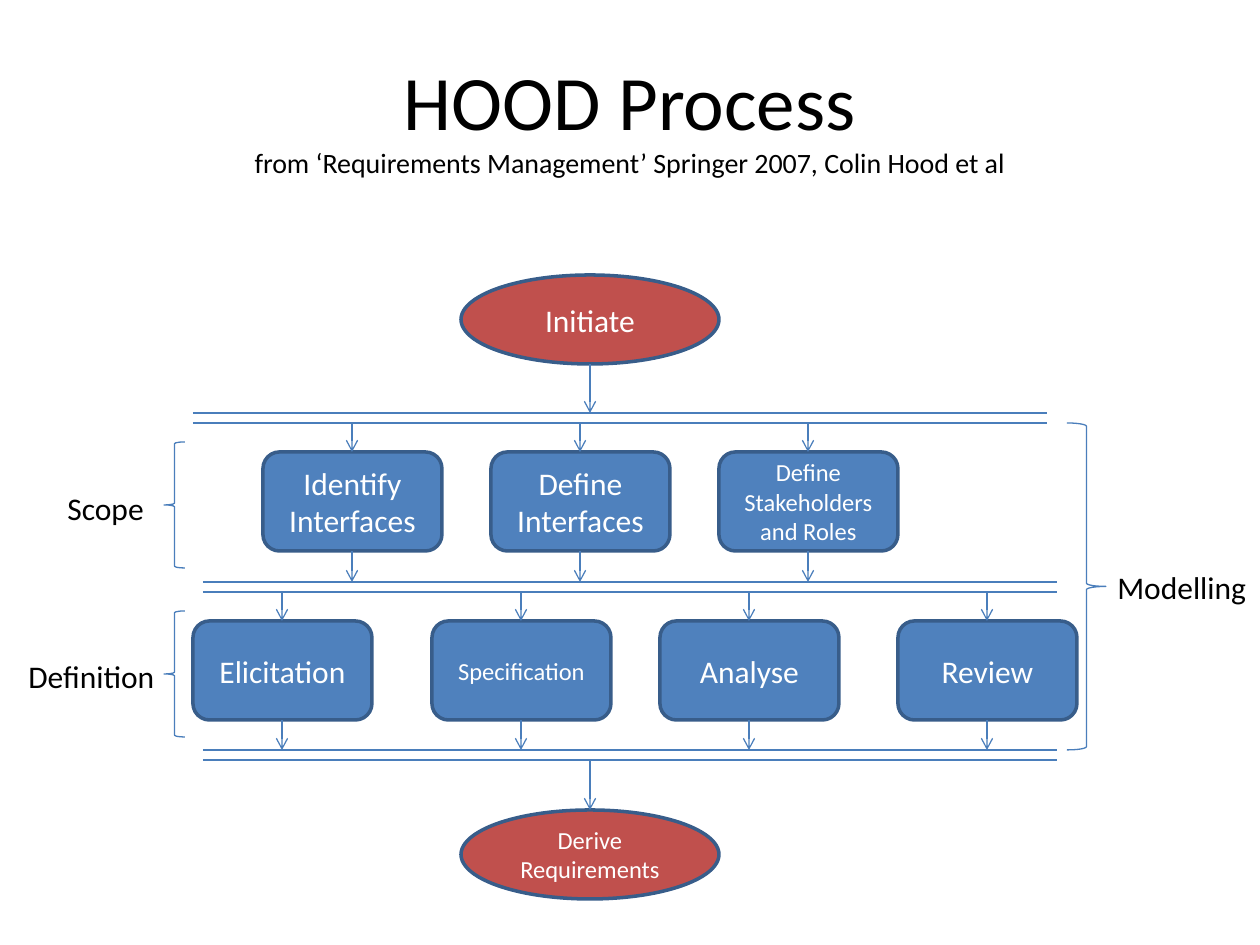
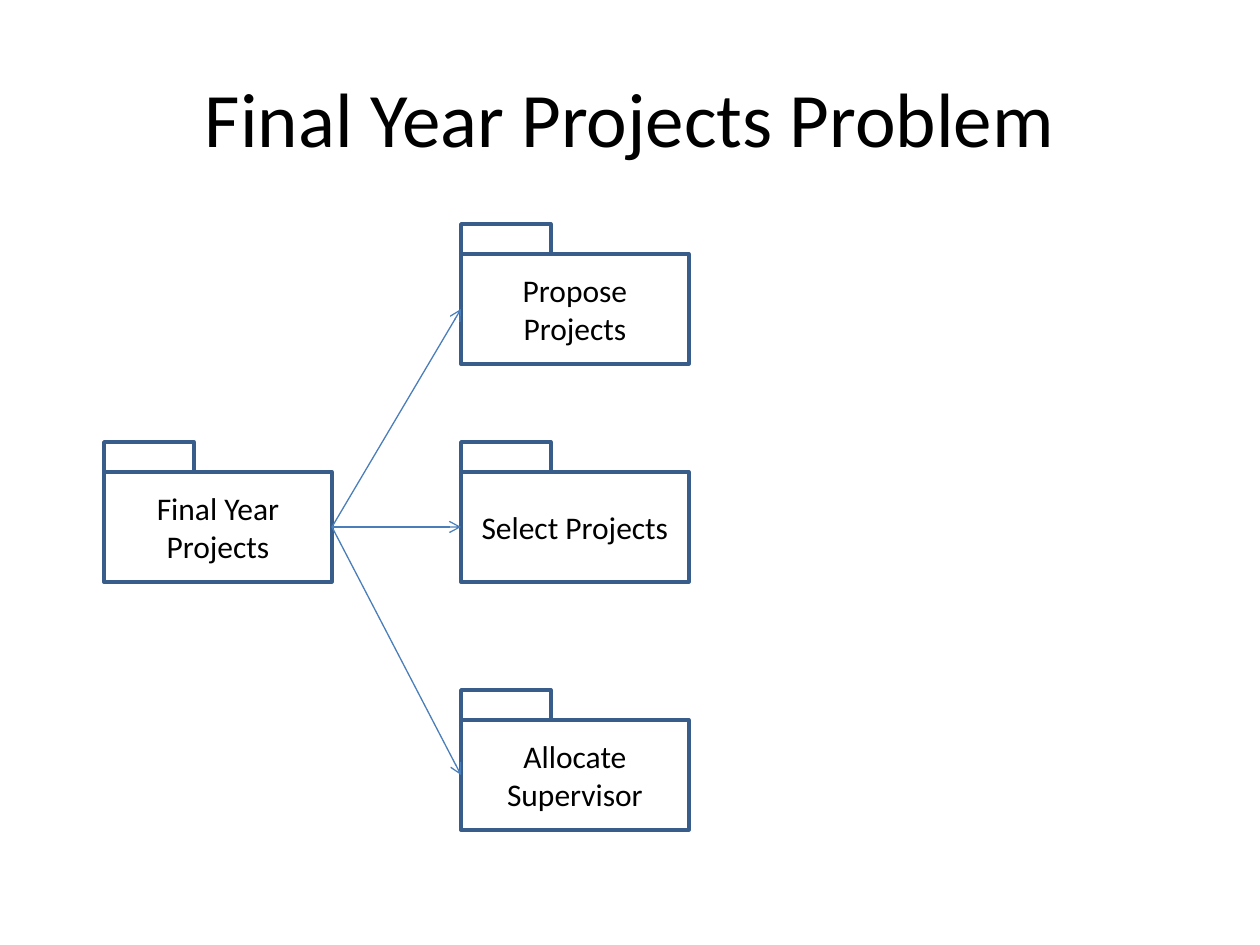
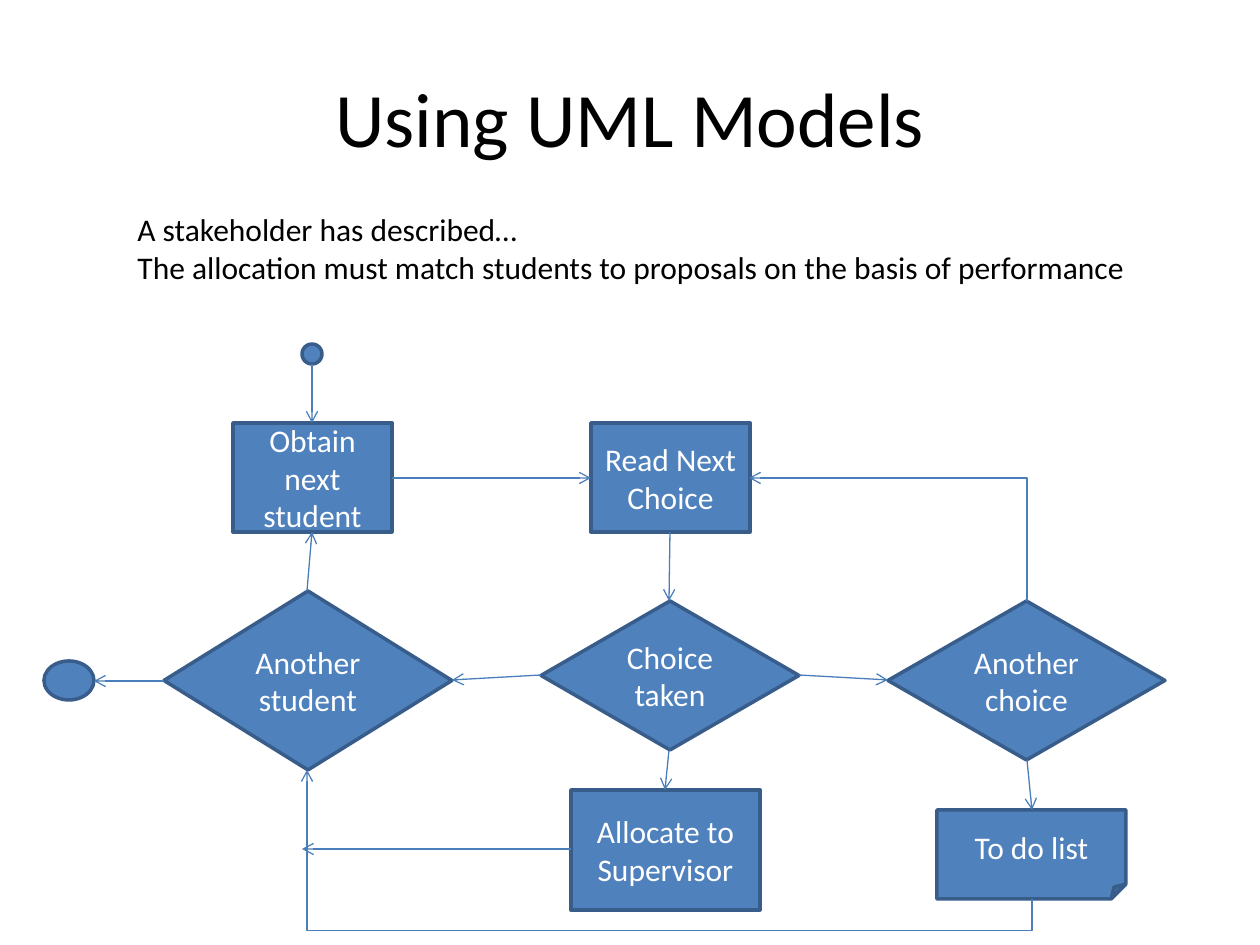
from typing import NamedTuple

from pptx import Presentation
from pptx import util as u
from pptx.dml.color import RGBColor
from pptx.enum import shapes, text
from pptx.oxml import parse_xml
from pptx.oxml.ns import nsdecls, qn

PX = u.Inches(1) / 126
FONT = "Calibri"
BLACK, WHITE = "000000", "FFFFFF"
BLUE, RED, EDGE, WIRE = "4F81BD", "C0504D", "385D8A", "4A7EBB"

Kind = shapes.MSO_SHAPE
Link = shapes.MSO_CONNECTOR
Point = tuple[int, int]


class Box(NamedTuple):
    x: int
    y: int
    w: int
    h: int

    @property
    def mid(self) -> int:
        return self.x + self.w // 2

    @property
    def low(self) -> int:
        return self.y + self.h


class Node(NamedTuple):
    kind: Kind
    box: Box
    words: str = ""
    size: int = 18
    fill: str | None = BLUE
    ink: str = WHITE


class Row(NamedTuple):
    y: int
    cells: list[tuple[int, str, int]]


def emu(*vals: float) -> list[int]:
    return [round(v * PX) for v in vals]


def tint(code: str) -> RGBColor:
    return RGBColor.from_string(code)


def write(frame, words: str, *, size: int = 18, ink: str = BLACK,
          center: bool = True, middle: bool = True, wrap: bool = True) -> None:
    """Fill a text frame, one paragraph per line of words."""
    frame.word_wrap = wrap
    frame.vertical_anchor = (
        text.MSO_ANCHOR.MIDDLE if middle else text.MSO_ANCHOR.TOP)
    frame.text = words
    for para in frame.paragraphs:
        para.alignment = text.PP_ALIGN.CENTER if center else text.PP_ALIGN.LEFT
        for run in para.runs:
            style(run, size, ink)


def style(run, size: int, ink: str = BLACK) -> None:
    run.font.name = FONT
    run.font.size = u.Pt(size)
    run.font.color.rgb = tint(ink)


def title(slide, words: str, note: str = "") -> None:
    frame = slide.shapes.add_textbox(*emu(63, 38, 1134, 157)).text_frame
    write(frame, words, size=44)
    if note:
        para = frame.paragraphs[0]
        para.add_line_break()
        run = para.add_run()
        run.text = note
        style(run, 16)


def label(slide, box: Box, words: str) -> None:
    frame = slide.shapes.add_textbox(*emu(*box)).text_frame
    write(frame, words, center=False, middle=False, wrap=False)


def shape(slide, kind: Kind, box: Box, fill: str | None, edge: str, width: float):
    item = slide.shapes.add_shape(kind, *emu(*box))
    item.shadow.inherit = False
    if fill:
        item.fill.solid()
        item.fill.fore_color.rgb = tint(fill)
    else:
        item.fill.background()
    item.line.color.rgb = tint(edge)
    item.line.width = u.Pt(width)
    return item


def draw(slide, node: Node) -> None:
    item = shape(slide, node.kind, node.box, node.fill, EDGE, 2)
    if node.words:
        write(item.text_frame, node.words, size=node.size, ink=node.ink)


def wire(slide, start: Point, end: Point, head: bool = True,
         kind: Link = Link.STRAIGHT):
    item = slide.shapes.add_connector(kind, *emu(*start, *end))
    item.line.color.rgb = tint(WIRE)
    item.line.width = u.Pt(0.75)
    if head:
        item.line._get_or_add_ln().append(
            parse_xml(f'<a:tailEnd {nsdecls("a")} type="arrow"/>'))
    item._element.spPr.append(parse_xml(f'<a:effectLst {nsdecls("a")}/>'))
    return item


def elbow(slide, start: Point, end: Point, preset: str,
          bend: int | None = None) -> None:
    """Draw a bent arrow that ends up and to the left of its start."""
    (x1, y1), (x2, y2) = start, end
    cx, cy = (x1 + x2) / 2, (y1 + y2) / 2
    dx, dy = (y1 - y2) / 2, (x1 - x2) / 2
    item = wire(slide, (cx - dx, cy - dy), (cx + dx, cy + dy), kind=Link.ELBOW)
    props = item._element.spPr
    frame = props.find(qn("a:xfrm"))
    frame.set("rot", "16200000")
    frame.set("flipV", "1")
    geom = props.find(qn("a:prstGeom"))
    geom.set("prst", preset)
    if bend is not None:
        geom.find(qn("a:avLst")).append(parse_xml(
            f'<a:gd {nsdecls("a")} name="adj1" fmla="val {bend}"/>'))


def process(slide) -> None:
    title(slide, "HOOD Process",
          "from ‘Requirements Management’ Springer 2007, Colin Hood et al")
    rows = [
        Row(452, [(263, "Identify Interfaces", 18), (491, "Define Interfaces", 18),
                  (719, "Define Stakeholders and Roles", 14)]),
        Row(621, [(193, "Elicitation", 18), (432, "Specification", 14),
                  (660, "Analyse", 18), (898, "Review", 18)]),
    ]
    bars = [(193, 413), (203, 582), (203, 750)]
    gap, span = 10, 854
    for x, y in bars:
        for top in (y, y + gap):
            wire(slide, (x, top), (x + span, top), head=False)
    for row, (_, above), (_, below) in zip(rows, bars, bars[1:]):
        for x, words, size in row.cells:
            box = Box(x, row.y, 179, 99)
            draw(slide, Node(Kind.ROUNDED_RECTANGLE, box, words, size))
            wire(slide, (box.mid, above + gap), (box.mid, box.y))
            wire(slide, (box.mid, box.low), (box.mid, below))

    first, last = Box(461, 275, 258, 89), Box(461, 810, 258, 89)
    draw(slide, Node(Kind.OVAL, first, "Initiate", fill=RED))
    draw(slide, Node(Kind.OVAL, last, "Derive Requirements", 14, RED))
    wire(slide, (first.mid, first.low), (first.mid, bars[0][1]))
    wire(slide, (last.mid, bars[-1][1] + gap), (last.mid, last.y))

    groups = [
        (Kind.LEFT_BRACE, Box(164, 442, 21, 126), Box(55, 483, 102, 50), "Scope"),
        (Kind.LEFT_BRACE, Box(164, 611, 21, 126), Box(16, 651, 151, 50),
         "Definition"),
        (Kind.RIGHT_BRACE, Box(1067, 423, 39, 327), Box(1105, 562, 154, 50),
         "Modelling"),
    ]
    for kind, brace, area, words in groups:
        shape(slide, kind, brace, None, WIRE, 0.75)
        label(slide, area, words)


def folders(slide) -> None:
    title(slide, "Final Year Projects Problem")
    packs = [(104, 472, "Final Year Projects"), (461, 254, "Propose Projects"),
             (461, 472, "Select Projects"), (461, 720, "Allocate Supervisor")]
    for x, y, words in packs:
        draw(slide, Node(Kind.RECTANGLE, Box(x, y, 228, 110), words,
                         fill=None, ink=BLACK))
        draw(slide, Node(Kind.RECTANGLE, Box(x, y - 30, 90, 30), fill=None))
    for y in (309, 527, 775):
        wire(slide, (332, 527), (461, y))


def models(slide) -> None:
    title(slide, "Using UML Models")
    label(slide, Box(125, 204, 1016, 88),
          "A stakeholder has described…\n"
          "The allocation must match students to proposals "
          "on the basis of performance")
    nodes = [
        Node(Kind.OVAL, Box(302, 344, 20, 20)),
        Node(Kind.RECTANGLE, Box(233, 423, 159, 109), "Obtain next student"),
        Node(Kind.RECTANGLE, Box(591, 423, 159, 109), "Read Next Choice"),
        Node(Kind.DIAMOND, Box(541, 601, 258, 149), "Choice taken"),
        Node(Kind.RECTANGLE, Box(571, 790, 189, 120), "Allocate to Supervisor"),
        Node(Kind.DIAMOND, Box(888, 601, 277, 159), "Another choice"),
        Node(Kind.FOLDED_CORNER, Box(937, 810, 189, 89), "To do list"),
        Node(Kind.DIAMOND, Box(164, 591, 288, 179), "Another student"),
        Node(Kind.OVAL, Box(44, 661, 50, 39)),
    ]
    for node in nodes:
        draw(slide, node)
    flows = [
        ((312, 364), (312, 423)), ((392, 478), (591, 478)),
        ((670, 532), (669, 601)), ((799, 675), (888, 680)),
        ((541, 675), (452, 680)), ((669, 750), (665, 790)),
        ((1027, 760), (1032, 810)), ((307, 591), (312, 532)),
        ((164, 681), (94, 681)), ((571, 849), (302, 849)),
    ]
    for start, end in flows:
        wire(slide, start, end)
    elbow(slide, (1027, 601), (749, 478), "bentConnector2")
    elbow(slide, (1032, 899), (307, 770), "bentConnector3", -24400)


def main() -> None:
    deck = Presentation()
    deck.slide_width, deck.slide_height = u.Inches(10), u.Inches(7.5)
    for build in (process, folders, models):
        build(deck.slides.add_slide(deck.slide_layouts[6]))
    deck.save("out.pptx")


if __name__ == "__main__":
    main()
